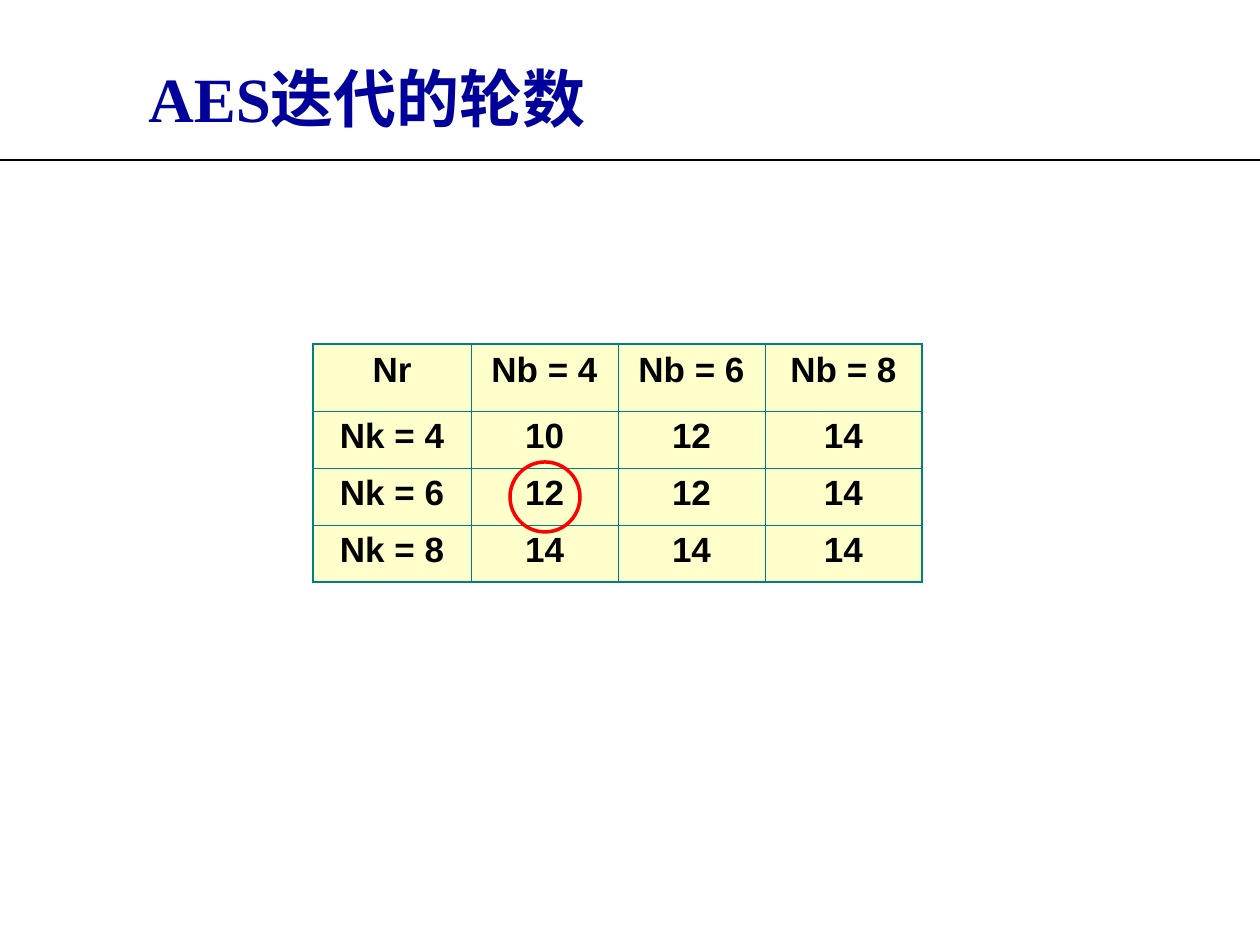
from lxml import etree
from pptx import Presentation, util as u
from pptx.dml.color import RGBColor
from pptx.enum import shapes, text
from pptx.oxml.ns import qn

TEAL = "008080"
ROWS = [
    ["Nr", "Nb = 4", "Nb = 6", "Nb = 8"],
    ["Nk = 4", "10", "12", "14"],
    ["Nk = 6", "12", "12", "14"],
    ["Nk = 8", "14", "14", "14"],
]
WIDTHS = [158, 147, 147, 157]
HEIGHTS = [67, 57, 57, 57]


def px(n):
    """Turn pixels into EMU."""
    return u.Emu(round(n * 914400 / 126))


def rgb(code):
    """Turn a hex string into a colour."""
    return RGBColor.from_string(code)


def add_run(para, words, size, font, color):
    """Add one bold run with its Latin and East Asian font."""
    run = para.add_run()
    run.text = words
    run.font.size = u.Pt(size)
    run.font.bold = True
    run.font.name = font
    run.font.color.rgb = rgb(color)
    props = run.font._element
    etree.SubElement(props, qn("a:ea"), typeface=font)


def add_title(slide):
    """Add the slide title."""
    box = slide.shapes.add_textbox(px(136), px(53), px(478), px(88))
    box.text_frame.word_wrap = False
    box.text_frame.auto_size = text.MSO_AUTO_SIZE.SHAPE_TO_FIT_TEXT
    para = box.text_frame.paragraphs[0]
    add_run(para, "AES", 36, "Times New Roman", "00009A")
    add_run(para, "迭代的轮数", 36, "DejaVu Sans Mono", "00009A")


def add_rule(slide, y):
    """Draw a black line across the slide."""
    rule = slide.shapes.add_connector(
        shapes.MSO_CONNECTOR.STRAIGHT, px(1260), px(y), 0, px(y))
    rule.line.color.rgb = rgb("000000")
    rule.line.width = u.Pt(1.5)
    etree.SubElement(rule._element.spPr, qn("a:effectLst"))


def add_edge(cell, side, width):
    """Draw one border of a cell."""
    props = cell._tc.get_or_add_tcPr()
    edge = etree.SubElement(props, qn("a:ln" + side), w=str(u.Pt(width)))
    fill = etree.SubElement(edge, qn("a:solidFill"))
    etree.SubElement(fill, qn("a:srgbClr"), val=TEAL)


def add_grid(slide, x, y):
    """Add the table of rounds with a thick outer frame."""
    frame = slide.shapes.add_table(
        len(ROWS), len(WIDTHS), px(x), px(y), px(sum(WIDTHS)), px(sum(HEIGHTS)))
    table = frame.table
    for col, width in zip(table.columns, WIDTHS):
        col.width = px(width)
    for row, height in zip(table.rows, HEIGHTS):
        row.height = px(height)
    for r, row in enumerate(ROWS):
        for c, words in enumerate(row):
            cell = table.cell(r, c)
            outer = {"L": c == 0, "R": c == len(row) - 1,
                     "T": r == 0, "B": r == len(ROWS) - 1}
            for side, thick in outer.items():
                add_edge(cell, side, 1.47 if thick else 0.45)
            cell.fill.solid()
            cell.fill.fore_color.rgb = rgb("FFFFCC")
            para = cell.text_frame.paragraphs[0]
            para.alignment = text.PP_ALIGN.CENTER
            add_run(para, words, 20, "Arial", "000000")


def add_ring(slide, x, y, size):
    """Draw a red ring around a value."""
    ring = slide.shapes.add_shape(
        shapes.MSO_SHAPE.OVAL, px(x), px(y), px(size), px(size))
    ring.shadow.inherit = False
    ring.fill.background()
    ring.line.color.rgb = rgb("FF0000")
    ring.line.width = u.Pt(2)


def main():
    """Build the slide and save it."""
    deck = Presentation()
    deck.slide_width, deck.slide_height = px(1260), px(945)
    slide = deck.slides.add_slide(deck.slide_layouts[6])
    add_rule(slide, 160)
    add_grid(slide, 313, 344)
    add_title(slide)
    add_ring(slide, 510, 462, 70)
    deck.save("out.pptx")


if __name__ == "__main__":
    main()
